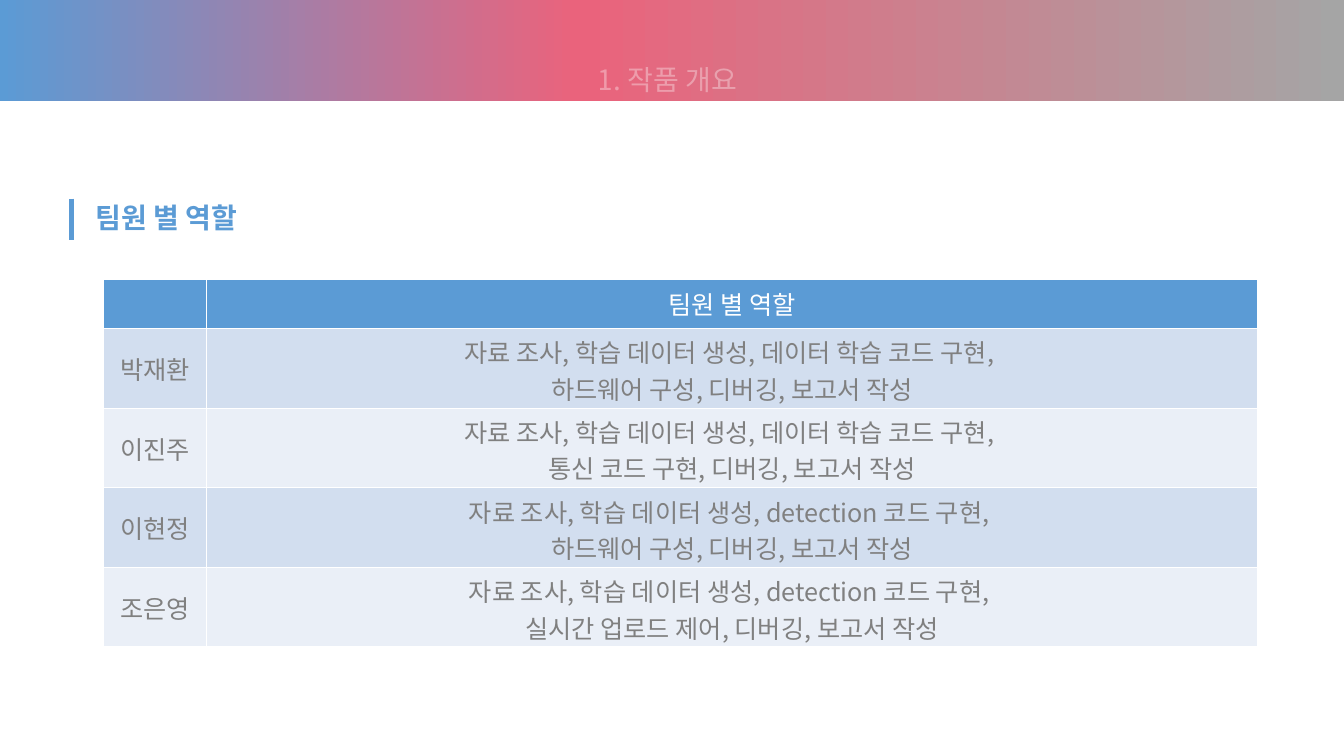
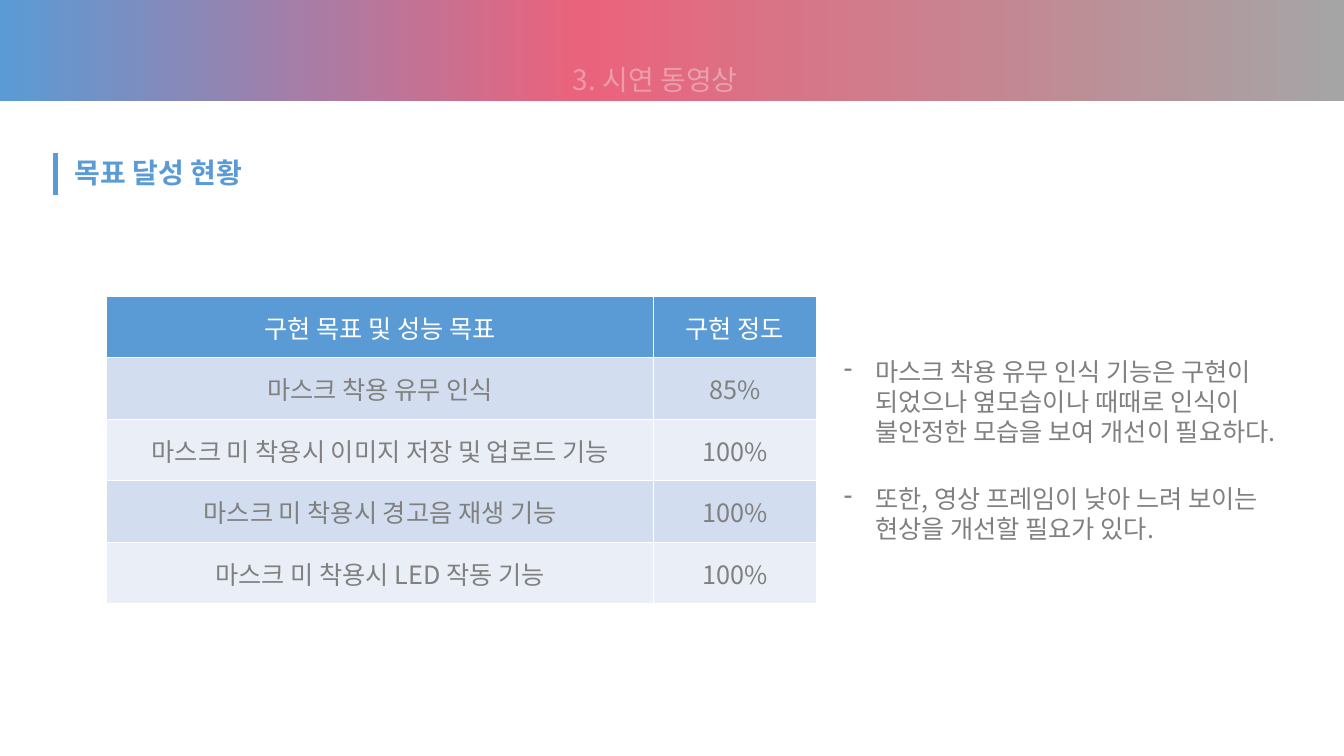
from copy import deepcopy

from lxml import etree
from pptx import Presentation
from pptx.dml.color import RGBColor
from pptx.enum.shapes import MSO_CONNECTOR as CONNECTOR, MSO_SHAPE as SHAPE
from pptx.enum.text import MSO_ANCHOR as ANCHOR, PP_ALIGN as ALIGN
from pptx.oxml.ns import qn
from pptx.util import Inches, Pt

FONT = "Noto Sans CJK KR"
BLUE = RGBColor(0x5B, 0x9B, 0xD5)
PINK = RGBColor(0xEA, 0x63, 0x7C)
SILVER = RGBColor(0xA5, 0xA5, 0xA5)
GRAY = RGBColor(0x80, 0x80, 0x80)
WHITE = RGBColor(0xFF, 0xFF, 0xFF)
ROW_FILLS = (RGBColor(0xD2, 0xDE, 0xEF), RGBColor(0xEA, 0xEF, 0xF7))
BAND_STOPS = ((0, BLUE), (0.43, PINK), (1, SILVER))
SLIDE_WIDTH, SLIDE_HEIGHT = 13.33, 7.5

ROLES = [
    ["", "팀원 별 역할"],
    ["박재환", "자료 조사, 학습 데이터 생성, 데이터 학습 코드 구현, \n하드웨어 구성, 디버깅, 보고서 작성"],
    ["이진주", "자료 조사, 학습 데이터 생성, 데이터 학습 코드 구현, \n통신 코드 구현, 디버깅, 보고서 작성"],
    ["이현정", "자료 조사, 학습 데이터 생성, detection 코드 구현, \n하드웨어 구성, 디버깅, 보고서 작성"],
    ["조은영", "자료 조사, 학습 데이터 생성, detection 코드 구현, \n실시간 업로드 제어, 디버깅, 보고서 작성"],
]
GOALS = [
    ["구현 목표 및 성능 목표", "구현 정도"],
    ["마스크 착용 유무 인식", "85%"],
    ["마스크 미 착용시 이미지 저장 및 업로드 기능", "100%"],
    ["마스크 미 착용시 경고음 재생 기능", "100%"],
    ["마스크 미 착용시 LED 작동 기능", "100%"],
]
REMARKS = [
    "마스크 착용 유무 인식 기능은 구현이 \n되었으나 옆모습이나 때때로 인식이 불안정한 모습을 보여 개선이 필요하다.",
    "또한, 영상 프레임이 낮아 느려 보이는 \n현상을 개선할 필요가 있다.",
]


def add_run(paragraph, text, color, size=18, bold=False):
    run = paragraph.add_run()
    run.text = text
    font = run.font
    font.name, font.size, font.bold = FONT, Pt(size), bold
    font.color.rgb = color
    east_asian = etree.SubElement(font._element, qn("a:ea"))
    east_asian.set("typeface", FONT)
    return run


def add_paragraph(frame, index):
    """Return the first paragraph of the frame, or a new one after it."""
    return frame.add_paragraph() if index else frame.paragraphs[0]


def add_text_box(shapes, left, top, width, height, anchor=ANCHOR.TOP):
    box = shapes.add_textbox(Inches(left), Inches(top), Inches(width), Inches(height))
    frame = box.text_frame
    frame.word_wrap = True
    frame.vertical_anchor = anchor
    return frame


def add_band(slide, title, title_center):
    """Draw the gradient band with its translucent title."""
    band = slide.shapes.add_shape(SHAPE.RECTANGLE, 0, 0, Inches(SLIDE_WIDTH), Inches(1))
    band.shadow.inherit = False
    band.line.fill.background()
    band.fill.gradient()
    band.fill.gradient_angle = 0
    first_stop = band._element.spPr.find(".//" + qn("a:gs"))
    first_stop.addnext(deepcopy(first_stop))
    for stop, (position, color) in zip(band.fill.gradient_stops, BAND_STOPS):
        stop.position = position
        stop.color.rgb = color

    title_width = 6
    frame = add_text_box(slide.shapes, title_center - title_width / 2, 0.57, title_width, 0.5)
    paragraph = frame.paragraphs[0]
    paragraph.alignment = ALIGN.CENTER
    run = add_run(paragraph, title, WHITE, size=20)
    color = run.font._element.find(".//" + qn("a:srgbClr"))
    etree.SubElement(color, qn("a:alpha")).set("val", "35000")


def add_heading(slide, text, bar_left, bar_top, text_left, width):
    """Group a vertical bar with the heading beside it."""
    shapes = slide.shapes.add_group_shape().shapes
    bar = shapes.add_connector(CONNECTOR.STRAIGHT, Inches(bar_left), Inches(bar_top),
                               Inches(bar_left), Inches(bar_top + 0.41))
    bar.line.color.rgb = BLUE
    bar.line.width = Pt(3.5)
    etree.SubElement(bar._element.spPr, qn("a:effectLst"))
    frame = add_text_box(shapes, text_left, bar_top - 0.03, width, 0.44)
    add_run(frame.paragraphs[0], text, BLUE, size=20, bold=True)


def fill_cell(cell, text, fill, color):
    cell.fill.solid()
    cell.fill.fore_color.rgb = fill
    cell.vertical_anchor = ANCHOR.MIDDLE
    for index, line in enumerate(text.split("\n")):
        paragraph = add_paragraph(cell.text_frame, index)
        paragraph.alignment = ALIGN.CENTER
        if line:
            add_run(paragraph, line, color)


def add_grid(slide, rows, left, top, column_widths, header_height, row_height):
    heights = [header_height] + [row_height] * (len(rows) - 1)
    table = slide.shapes.add_table(
        len(rows), len(column_widths), Inches(left), Inches(top),
        Inches(sum(column_widths)), Inches(sum(heights))).table
    for column, width in zip(table.columns, column_widths):
        column.width = Inches(width)
    for index, (row, height, texts) in enumerate(zip(table.rows, heights, rows)):
        row.height = Inches(height)
        fill, color = (ROW_FILLS[(index - 1) % 2], GRAY) if index else (BLUE, WHITE)
        for cell, text in zip(row.cells, texts):
            fill_cell(cell, text, fill, color)


def add_remarks(slide, remarks, left, top, width, height):
    """List the remarks with hanging dashes."""
    frame = add_text_box(slide.shapes, left, top, width, height, ANCHOR.MIDDLE)
    for index, remark in enumerate(remarks):
        paragraph = add_paragraph(frame, index)
        paragraph.space_before = Pt(26 if index else 0)
        properties = paragraph._p.get_or_add_pPr()
        properties.set("marL", str(Inches(0.31)))
        properties.set("indent", str(Inches(-0.31)))
        etree.SubElement(properties, qn("a:buChar")).set("char", "-")
        for number, line in enumerate(remark.split("\n")):
            if number:
                paragraph.add_line_break()
            add_run(paragraph, line, GRAY)


def add_roles_slide(presentation):
    slide = presentation.slides.add_slide(presentation.slide_layouts[6])
    add_band(slide, "1. 작품 개요", 6.62)
    add_grid(slide, ROLES, 1.03, 2.77, (1.02, 10.42), 0.49, 0.79)
    add_heading(slide, "팀원 별 역할", 0.71, 1.97, 0.85, 9.79)


def add_goals_slide(presentation):
    slide = presentation.slides.add_slide(presentation.slide_layouts[6])
    add_band(slide, "3. 시연 동영상", 6.5)
    add_heading(slide, "목표 달성 현황", 0.55, 1.52, 0.64, 6.67)
    add_grid(slide, GOALS, 1.06, 2.94, (5.42, 1.62), 0.61, 0.61)
    add_remarks(slide, REMARKS, 8.27, 3.35, 4.85, 2.23)


def main():
    presentation = Presentation()
    presentation.slide_width = Inches(SLIDE_WIDTH)
    presentation.slide_height = Inches(SLIDE_HEIGHT)
    add_roles_slide(presentation)
    add_goals_slide(presentation)
    presentation.save("out.pptx")


if __name__ == "__main__":
    main()
